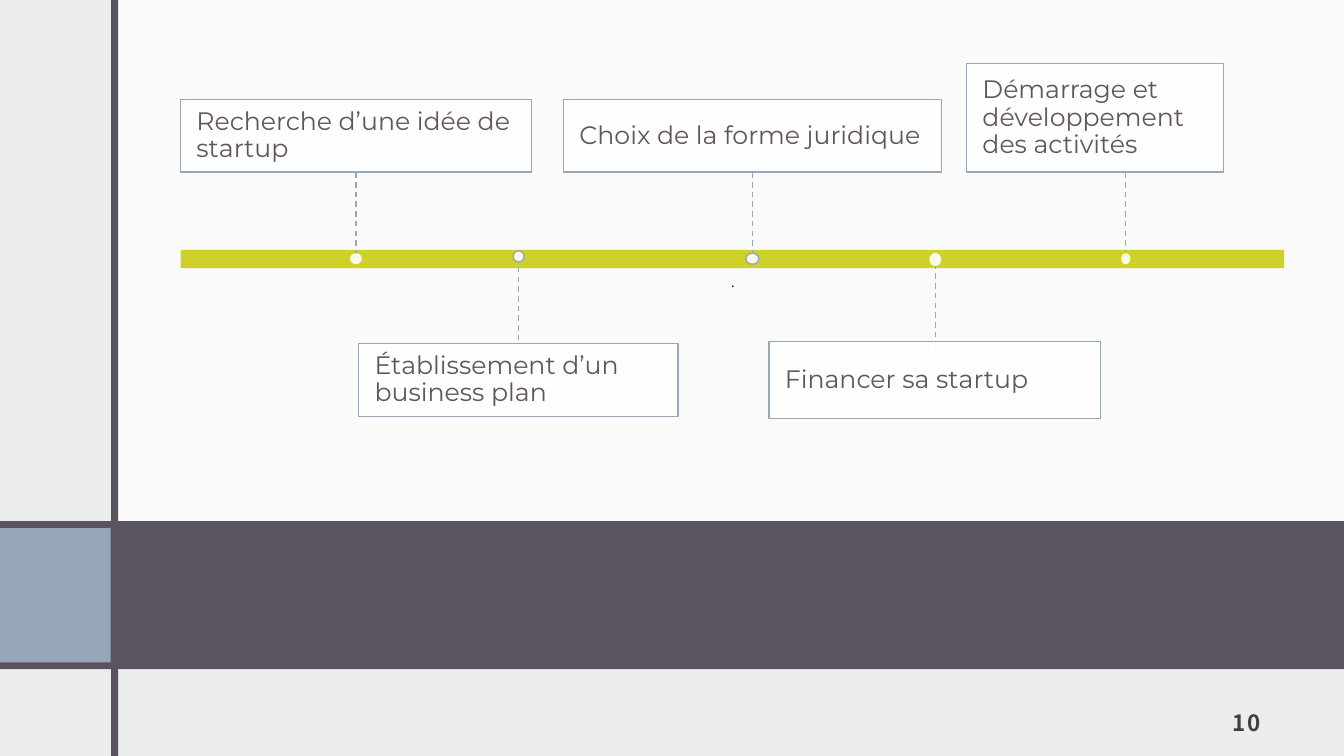
from lxml import etree
from pptx import Presentation
from pptx.dml.color import RGBColor
from pptx.enum import dml, shapes, text
from pptx.oxml import ns
from pptx.util import Cm, Pt

PAPER = RGBColor(0xEB, 0xED, 0xEB)
WHITE = RGBColor(0xFF, 0xFF, 0xFF)
PLUM = RGBColor(0x59, 0x54, 0x60)
BLUE = RGBColor(0x97, 0xA7, 0xB8)
LIME = RGBColor(0xCE, 0xD2, 0x28)
BROWN = RGBColor(0x62, 0x56, 0x59)
GREY = RGBColor(0x40, 0x40, 0x40)
BLACK = RGBColor(0, 0, 0)
BODY_FONT, NUMBER_FONT = "Montserrat", "Noto Sans CJK JP"

WIDTH, HEIGHT = 33.87, 19.05
PANELS = [
    ((2.9, 0, 30.97, 13.13), WHITE, 75),
    ((0, 13.13, WIDTH, 3.73), PLUM, 100),
    ((0, 13.31, 2.79, 3.38), BLUE, 100),
    ((2.8, 0, 0.18, HEIGHT), PLUM, 100),
    ((4.55, 6.3, 27.81, 0.46), LIME, 100),
]
STEPS = [
    {"label": "Recherche d’une idée de startup", "box": (4.55, 2.51, 8.84, 1.83),
     "x": 8.97, "stem": (4.34, 6.53), "dot": (6.52, 0.3, 0.28), "ring": False},
    {"label": "Établissement d’un business plan", "box": (9.04, 8.66, 8.05, 1.83),
     "x": 13.07, "stem": (6.48, 8.66), "dot": (6.46, 0.28, 0.28), "ring": True},
    {"label": "Choix de la forme juridique", "box": (14.2, 2.51, 9.53, 1.83),
     "x": 18.96, "stem": (4.34, 6.53), "dot": (6.52, 0.33, 0.28), "ring": True},
    {"label": "Financer sa startup", "box": (19.38, 8.61, 8.36, 1.93),
     "x": 23.57, "stem": (6.4, 8.86), "dot": (6.54, 0.3, 0.33), "ring": False},
    {"label": "Démarrage et développement des activités", "box": (24.36, 1.6, 6.48, 2.74),
     "x": 28.37, "stem": (4.34, 6.53), "dot": (6.52, 0.23, 0.28), "ring": False},
]


def add_panel(page, kind, place, color, opacity=100, outlined=False):
    shape = page.shapes.add_shape(kind, *map(Cm, place))
    shape.shadow.inherit = False
    shape.fill.solid()
    shape.fill.fore_color.rgb = color
    if opacity < 100:
        tint = shape.fill._xPr.find(".//" + ns.qn("a:srgbClr"))
        etree.SubElement(tint, ns.qn("a:alpha"), val=str(opacity * 1000))
    if outlined:
        shape.line.color.rgb = BLUE
        shape.line.width = Pt(1)
    else:
        shape.line.fill.background()
    return shape


def write(shape, words, size, font, color, align, anchor, insets, bold=False, tracking=0, leading=1.0):
    frame = shape.text_frame
    frame.word_wrap = True
    frame.vertical_anchor = anchor
    frame.margin_left, frame.margin_top, frame.margin_right, frame.margin_bottom = map(Cm, insets)
    para = frame.paragraphs[0]
    para.alignment = align
    para.line_spacing = leading
    para.font.size, para.font.name, para.font.bold = Pt(size), font, bold
    para.font.color.rgb = color
    span = para.add_run()
    span.text = words
    if tracking:
        span._r.get_or_add_rPr().set("spc", str(int(tracking * 100)))


def add_stem(page, x, top, bottom):
    stem = page.shapes.add_connector(shapes.MSO_CONNECTOR.STRAIGHT, Cm(x), Cm(top), Cm(x), Cm(bottom))
    stem.line.color.rgb = BLUE
    stem.line.width = Pt(1)
    stem.line.dash_style = dml.MSO_LINE.DASH
    etree.SubElement(stem._element.spPr, ns.qn("a:effectLst"))


def add_step(page, step):
    add_stem(page, step["x"], *step["stem"])
    box = add_panel(page, shapes.MSO_SHAPE.RECTANGLE, step["box"], WHITE, 90, True)
    write(box, step["label"], 18, BODY_FONT, BROWN, text.PP_ALIGN.LEFT,
          text.MSO_ANCHOR.MIDDLE, (0.4, 0.1, 0.4, 0.1), leading=0.9)
    middle, width, height = step["dot"]
    place = (step["x"] - width / 2, middle - height / 2, width, height)
    add_panel(page, shapes.MSO_SHAPE.OVAL, place, WHITE, 90, step["ring"])


def main():
    deck = Presentation()
    deck.slide_width, deck.slide_height = Cm(WIDTH), Cm(HEIGHT)
    page = deck.slides.add_slide(deck.slide_layouts[6])
    page.background.fill.solid()
    page.background.fill.fore_color.rgb = PAPER
    for place, color, opacity in PANELS:
        add_panel(page, shapes.MSO_SHAPE.RECTANGLE, place, color, opacity)
    for step in STEPS:
        add_step(page, step)
    point = page.shapes.add_textbox(*map(Cm, (14.81, 6.96, 7.32, 1.3)))
    write(point, ".", 9, NUMBER_FONT, BLACK, text.PP_ALIGN.CENTER,
          text.MSO_ANCHOR.TOP, (0, 0, 0, 0), tracking=1.5, leading=0.9)
    number = page.shapes.add_textbox(*map(Cm, (29.36, 17.53, 2.72, 1.27)))
    write(number, "10", 16, NUMBER_FONT, GREY, text.PP_ALIGN.RIGHT,
          text.MSO_ANCHOR.BOTTOM, (0.3, 0.3, 0.3, 0.25), bold=True, tracking=1.5)
    deck.save("out.pptx")


if __name__ == "__main__":
    main()
